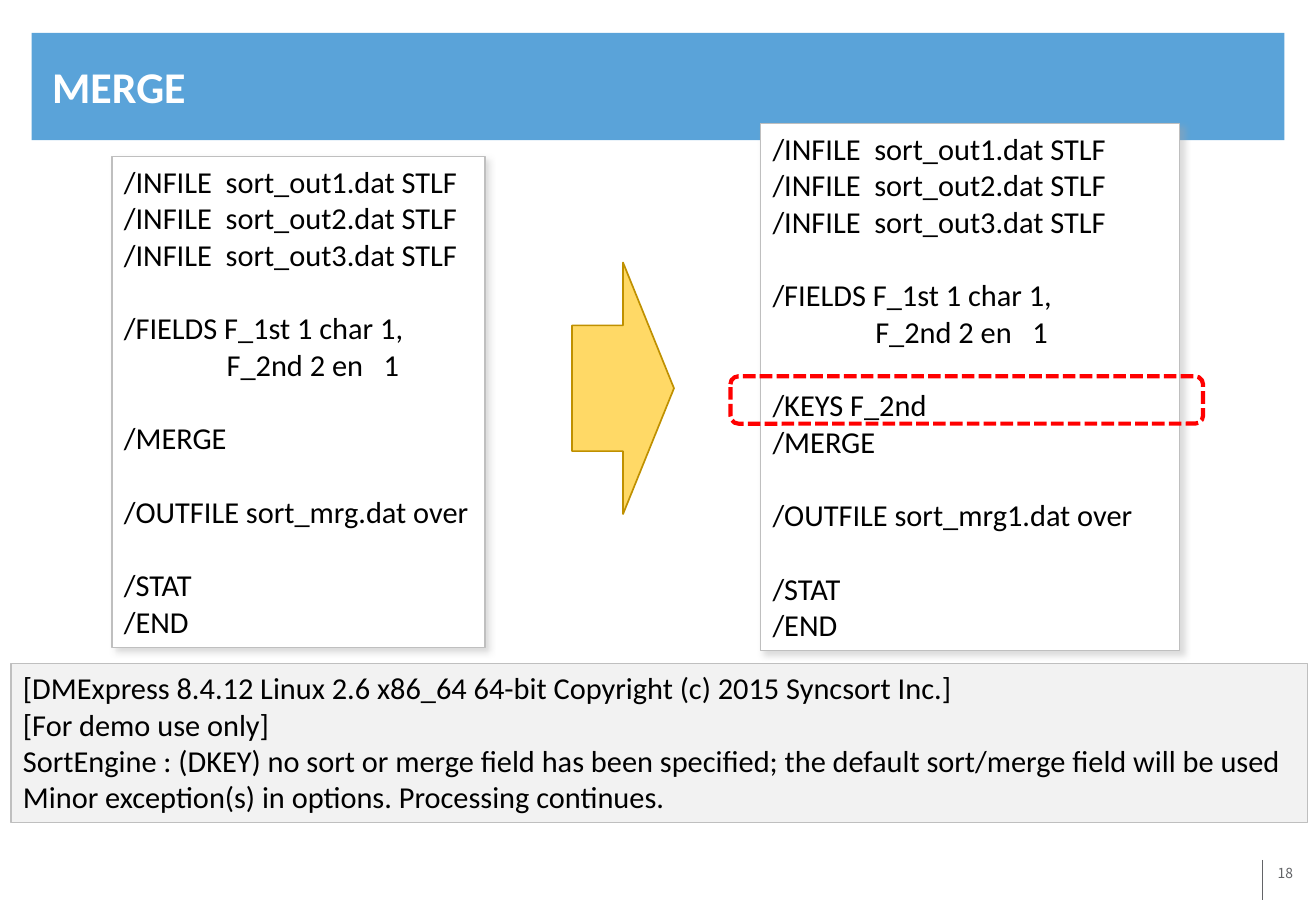
import lxml.etree
import pptx
import pptx.dml.color
import pptx.enum.dml
import pptx.enum.shapes
import pptx.enum.text
import pptx.oxml
import pptx.oxml.ns
import pptx.util

Cm, Pt = pptx.util.Cm, pptx.util.Pt
SHAPE = pptx.enum.shapes.MSO_SHAPE
ANCHOR = pptx.enum.text.MSO_ANCHOR
ALIGN = pptx.enum.text.PP_ALIGN


def rgb(hex_color):
    return pptx.dml.color.RGBColor.from_string(hex_color)


def add_block(kind, box, fill=None, line=None, width=0.75):
    """Add a preset shape without shadow; box is left, top, width, height in cm."""
    block = slide.shapes.add_shape(kind, *map(Cm, box))
    block.shadow.inherit = False
    if fill:
        block.fill.solid()
        block.fill.fore_color.rgb = rgb(fill)
    else:
        block.fill.background()
    if line:
        block.line.color.rgb = rgb(line)
        block.line.width = Pt(width)
    else:
        block.line.fill.background()
    return block


presentation = pptx.Presentation()
presentation.slide_width = Cm(27.51)
presentation.slide_height = Cm(19.05)
slide = presentation.slides.add_slide(presentation.slide_layouts[6])

# Header band and title
add_block(SHAPE.RECTANGLE, (0.66, 0.69, 26.19, 2.24), "5AA3D9")
title = slide.shapes.add_textbox(Cm(0.84), Cm(0.79), Cm(25.91), Cm(2.01)).text_frame
title.word_wrap = True
title.vertical_anchor = ANCHOR.MIDDLE
title.text = "MERGE"
title_font = title.paragraphs[0].runs[0].font
title_font.name = "Calibri"
title_font.size = Pt(26)
title_font.bold = True
title_font.color.rgb = rgb("FFFFFF")

# Page number and its rule
page_number = slide.shapes.add_textbox(Cm(22.56), Cm(17.98), Cm(4.65), Cm(1.27)).text_frame
page_number.word_wrap = True
page_number.margin_left = page_number.margin_right = Cm(0.18)
page_number.margin_top = page_number.margin_bottom = Cm(0.1)
page_number.text = "18"
page_number.paragraphs[0].alignment = ALIGN.RIGHT
number_font = page_number.paragraphs[0].runs[0].font
number_font.name = "Noto Sans CJK KR"
number_font.size = Pt(8.2)
number_font.color.rgb = rgb("636467")

page_rule = slide.shapes.add_connector(
    pptx.enum.shapes.MSO_CONNECTOR.STRAIGHT, Cm(26.39), Cm(17.98), Cm(26.39), Cm(18.82))
page_rule.line.color.rgb = rgb("636467")
page_rule.line.width = Pt(0.75)
lxml.etree.SubElement(page_rule._element.spPr, pptx.oxml.ns.qn("a:effectLst"))

# Job scripts and console output: groups of lines, set one line apart
inputs = [f"/INFILE  sort_out{number}.dat STLF" for number in (1, 2, 3)]
fields = ["/FIELDS F_1st 1 char 1,", "               F_2nd 2 en   1"]
ending = ["/STAT", "/END"]
default_merge = [inputs, fields, ["/MERGE"], ["/OUTFILE sort_mrg.dat over"], ending]
keyed_merge = [inputs, fields, ["/KEYS F_2nd", "/MERGE"],
               ["/OUTFILE sort_mrg1.dat over"], ending]
console = [[
    "[DMExpress 8.4.12 Linux 2.6 x86_64 64-bit Copyright (c) 2015 Syncsort Inc.]",
    "[For demo use only]",
    "SortEngine : (DKEY) no sort or merge field has been specified; "
    "the default sort/merge field will be used",
    "Minor exception(s) in options. Processing continues.",
]]
SHADOW = (
    f'<a:outerShdw {pptx.oxml.ns.nsdecls("a")} blurRad="{Pt(4)}" dist="{Pt(3)}" '
    'dir="2700000" algn="tl" rotWithShape="0">'
    '<a:srgbClr val="A6A6A6"><a:alpha val="40000"/></a:srgbClr></a:outerShdw>')

for groups, box, fill, wrap, has_shadow in (
    (default_merge, (2.34, 3.28, 7.8, 10.26), "FFFFFF", False, True),
    (keyed_merge, (15.9, 2.59, 8.76, 11.02), "FFFFFF", True, True),
    (console, (0.23, 13.87, 27.1, 3.33), "F2F2F2", True, False),
):
    listing = add_block(SHAPE.RECTANGLE, box, fill, "BFBFBF")
    if has_shadow:
        effects = listing._element.spPr.find(pptx.oxml.ns.qn("a:effectLst"))
        effects.append(pptx.oxml.parse_xml(SHADOW))
    frame = listing.text_frame
    frame.word_wrap = wrap
    frame.vertical_anchor = ANCHOR.TOP
    frame.text = "\n".join(line for group in groups for line in group)
    group_starts = [sum(map(len, groups[:index])) for index in range(1, len(groups))]
    for index, paragraph in enumerate(frame.paragraphs):
        paragraph.alignment = ALIGN.LEFT
        if index in group_starts:
            paragraph.space_before = Pt(22)
        font = paragraph.runs[0].font
        font.name = "Calibri"
        font.size = Pt(18)
        font.color.rgb = rgb("000000")

# Arrow between the scripts and frame around the added key
add_block(SHAPE.RIGHT_ARROW, (11.96, 5.49, 2.13, 5.26), "FFD966", "BF9000", 1)
key_frame = add_block(SHAPE.ROUNDED_RECTANGLE, (15.27, 7.87, 9.88, 0.99), None, "FF0000", 2.5)
key_frame.line.dash_style = pptx.enum.dml.MSO_LINE.SQUARE_DOT

presentation.save("out.pptx")
